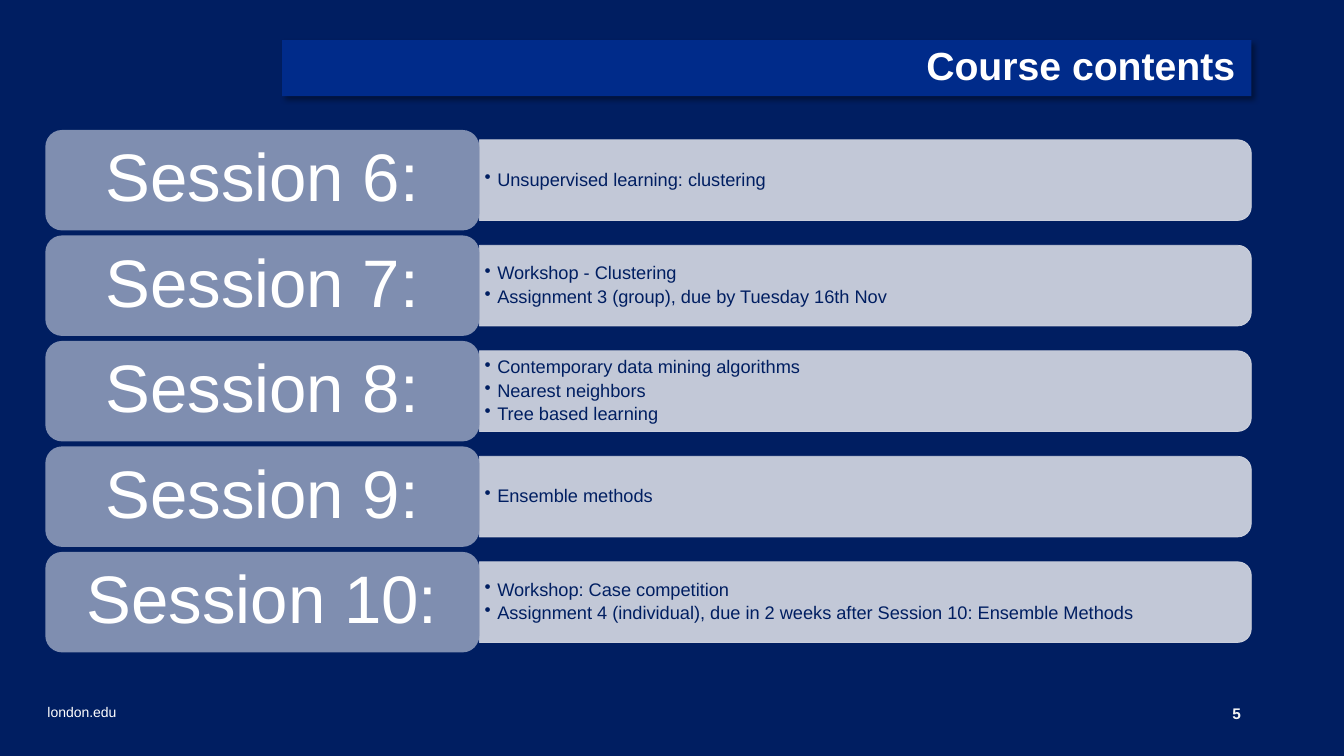
"""Build the course contents slide listing sessions 6 to 10."""
from lxml.etree import SubElement
from pptx import Presentation
from pptx.dml.color import RGBColor
from pptx.enum.shapes import MSO_SHAPE
from pptx.enum.text import MSO_ANCHOR, PP_ALIGN
from pptx.oxml import parse_xml
from pptx.oxml.ns import nsdecls, qn
from pptx.util import Pt

NAVY = RGBColor(0x00, 0x1E, 0x61)
BLUE = RGBColor(0x00, 0x2B, 0x8A)
SLATE = RGBColor(0x7F, 0x8E, 0xB0)
MIST = RGBColor(0xD8, 0xDB, 0xE4)
WHITE = RGBColor(0xFF, 0xFF, 0xFF)
OFF_WHITE = RGBColor(0xF6, 0xF6, 0xF6)

SESSIONS = [
    ("Session 6:", ["Unsupervised learning: clustering"]),
    ("Session 7:", ["Workshop - Clustering",
                    "Assignment 3 (group), due by Tuesday 16th Nov"]),
    ("Session 8:", ["Contemporary data mining algorithms",
                    "Nearest neighbors",
                    "Tree based learning"]),
    ("Session 9:", ["Ensemble methods"]),
    ("Session 10:", ["Workshop: Case competition",
                     "Assignment 4 (individual), due in 2 weeks after "
                     "Session 10: Ensemble Methods"]),
]
TOP, PITCH = 92.8, 75.35
LABEL_LEFT, LABEL_WIDTH, LABEL_HEIGHT = 32.4, 310, 71.8
BAR_LEFT, BAR_LENGTH, BAR_HEIGHT = 342.4, 551.4, 57.6


def write(shape, lines, size, color=WHITE, bold=False, align=PP_ALIGN.LEFT,
          anchor=MSO_ANCHOR.MIDDLE, insets=(7.2, 3.6, 7.2, 3.6),
          spacing=0.9, after=0, bullet=False):
    frame = shape.text_frame
    frame.word_wrap = True
    frame.vertical_anchor = anchor
    frame.margin_left, frame.margin_top, frame.margin_right, frame.margin_bottom = map(Pt, insets)
    frame.text = "\n".join(lines)
    for paragraph in frame.paragraphs:
        paragraph.alignment = align
        paragraph.line_spacing = spacing
        paragraph.space_after = Pt(after)
        if bullet:
            properties = paragraph._p.get_or_add_pPr()
            properties.set("marL", str(Pt(9)))
            properties.set("indent", str(Pt(-9)))
            SubElement(properties, qn("a:buChar"), char="•")
        font = paragraph.font
        font.name, font.size, font.bold = "Arial", Pt(size), bold
        font.color.rgb = color


def add_block(preset, left, top, width, height, fill):
    block = slide.shapes.add_shape(preset, Pt(left), Pt(top), Pt(width), Pt(height))
    block.shadow.inherit = False
    block.fill.solid()
    block.fill.fore_color.rgb = fill
    block.line.fill.background()
    return block


prs = Presentation()
prs.slide_width, prs.slide_height = Pt(960), Pt(540)
slide = prs.slides.add_slide(prs.slide_layouts[6])
slide.background.fill.solid()
slide.background.fill.fore_color.rgb = NAVY

page_number = add_block(MSO_SHAPE.RECTANGLE, 856.8, 500.4, 36.7, 18.7, NAVY)
write(page_number, ["5"], 11, OFF_WHITE, bold=True, align=PP_ALIGN.RIGHT, spacing=1)

website = slide.shapes.add_textbox(Pt(33.9), Pt(485.3), Pt(175.7), Pt(33.1))
write(website, ["london.edu"], 10, anchor=MSO_ANCHOR.BOTTOM, insets=(0, 3.6, 7.2, 3.6))

title = add_block(MSO_SHAPE.ROUNDED_RECTANGLE, 201.6, 28.6, 692.2, 40, BLUE)
title.adjustments[0] = 0
title._element.spPr.find(qn("a:effectLst")).append(parse_xml(
    f'<a:outerShdw {nsdecls("a")} blurRad="{Pt(4)}" dist="{Pt(3)}" dir="2700000" '
    'algn="tl" rotWithShape="0"><a:srgbClr val="000000"><a:alpha val="40000"/>'
    '</a:srgbClr></a:outerShdw>'))
write(title, ["Course contents"], 28, bold=True, align=PP_ALIGN.RIGHT,
      insets=(7.2, 5.8, 11.5, 5.8))

for row, (session, topics) in enumerate(SESSIONS):
    label_top = TOP + row * PITCH
    middle = label_top + LABEL_HEIGHT / 2

    bar = add_block(MSO_SHAPE.ROUND_2_SAME_RECTANGLE,
                    BAR_LEFT + (BAR_LENGTH - BAR_HEIGHT) / 2, middle - BAR_LENGTH / 2,
                    BAR_HEIGHT, BAR_LENGTH, MIST)
    bar.rotation = 90
    bar.line.color.rgb = MIST
    bar.line.width = Pt(0.5)
    for color in bar._element.spPr.iter(qn("a:srgbClr")):
        SubElement(color, qn("a:alpha"), val="90000")

    contents = slide.shapes.add_textbox(Pt(BAR_LEFT), Pt(middle - 26), Pt(548.6), Pt(52))
    write(contents, topics, 13, NAVY, insets=(3.8, 1.9, 3.8, 1.9), after=2.5, bullet=True)

    label = add_block(MSO_SHAPE.ROUNDED_RECTANGLE, LABEL_LEFT, label_top,
                      LABEL_WIDTH, LABEL_HEIGHT, SLATE)
    write(label, [session], 48, align=PP_ALIGN.CENTER, insets=(18, 10.8, 18, 10.8))

prs.save("out.pptx")
